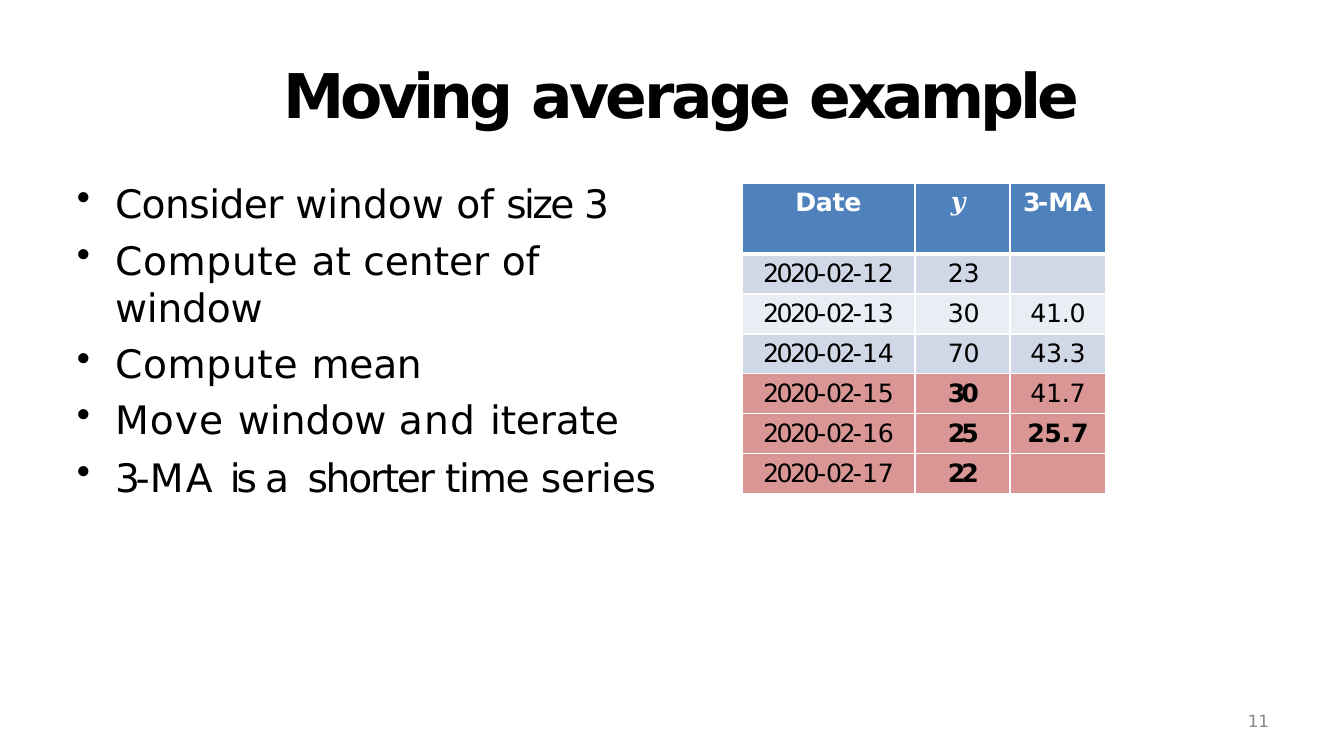
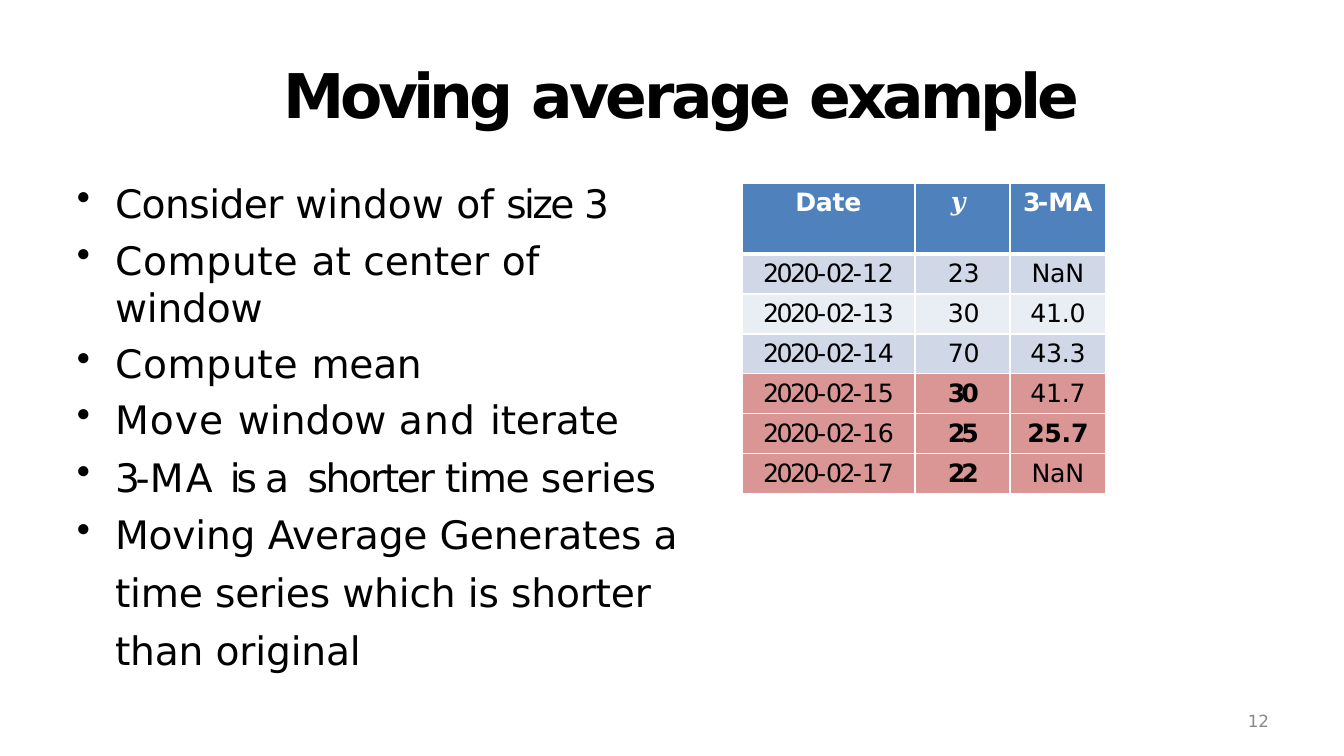
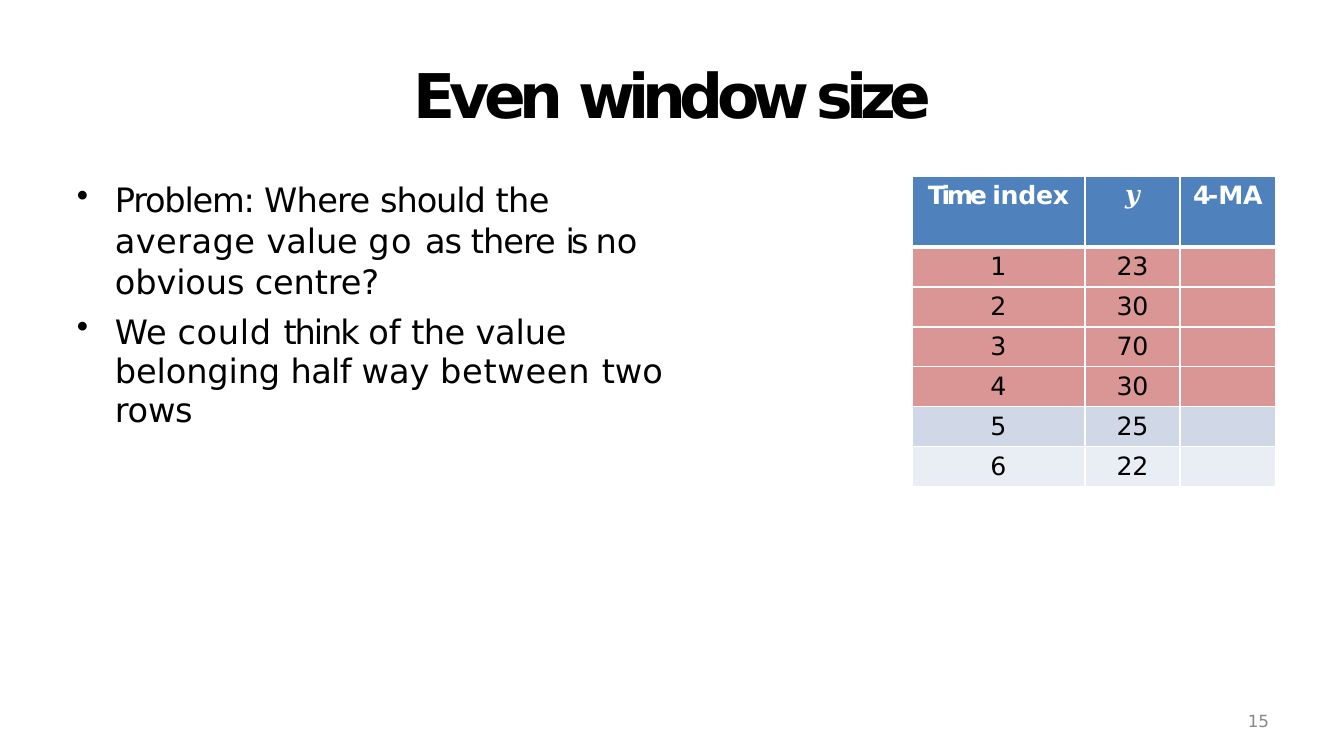
from lxml import etree
from pptx import Presentation
from pptx import util as u
from pptx.dml.color import RGBColor
from pptx.enum import text
from pptx.oxml.ns import qn

PX = 12192000 / 1344
INK, WHITE, GREY = "000000", "FFFFFF", "898989"
HEAD, BAND, PALE, MARK = "4F81BD", "D0D8E8", "E9EDF4", "D99694"


def px(n):
    return u.Emu(round(n * PX))


def rgb(value):
    return RGBColor.from_string(value)


class Deck:
    font = "DejaVu Sans"
    column_widths = (173, 95, 96)
    head_height, row_height = 71, 40

    def __init__(self):
        self.prs = Presentation()
        self.prs.slide_width, self.prs.slide_height = px(1344), px(756)

    def slide(self, title, indent, number):
        self.s = self.prs.slides.add_slide(self.prs.slide_layouts[5])
        sp = self.s.shapes.title
        sp.left, sp.top, sp.width, sp.height = map(px, (78, 56, 1188, 70))
        tf = self.frame(sp, 1)
        self.paragraph(tf.paragraphs[0], title, 44, bold=True, indent=indent)
        tf = self.box(1244, 710, 28, 23, 1)
        self.paragraph(tf.paragraphs[0], [(number, -0.2)], 12, GREY, indent=4)

    def frame(self, sp, top):
        tf = sp.text_frame
        fmt = dict(margin_left=0, margin_right=0, margin_bottom=0, margin_top=px(top),
                   word_wrap=True, auto_size=text.MSO_AUTO_SIZE.NONE,
                   vertical_anchor=text.MSO_ANCHOR.TOP)
        for name, value in fmt.items():
            setattr(tf, name, value)
        return tf

    def box(self, x, y, w, h, top):
        return self.frame(self.s.shapes.add_textbox(*map(px, (x, y, w, h))), top)

    def paragraph(self, p, runs, size, colour=INK, bold=False, indent=0, hang=0,
                  align=text.PP_ALIGN.LEFT, before=0, spacing=None):
        pPr = p._p.get_or_add_pPr()
        pPr.set("marL", str(px(indent)))
        pPr.set("indent", str(px(-hang)))
        if hang:
            etree.SubElement(pPr, qn("a:buChar")).set("char", "•")
        fmt = dict(alignment=align, space_before=u.Pt(before), line_spacing=spacing)
        for name, value in fmt.items():
            setattr(p, name, value)
        for words, tracking, *own in runs:
            r = p.add_run()
            r.text = words
            fmt = dict(name=self.font, size=u.Pt(size), bold=bold)
            fmt.update(own[0] if own else {})
            for name, value in fmt.items():
                setattr(r.font, name, value)
            r.font.color.rgb = rgb(colour)
            r._r.get_or_add_rPr().set("spc", str(round(tracking * 100)))

    def bullets(self, items, area, top, size):
        tf = self.box(*area, top)
        for i, (runs, fmt) in enumerate(items):
            p = tf.add_paragraph() if i else tf.paragraphs[0]
            self.paragraph(p, runs, size, **{"indent": 39, "hang": 38, **fmt})

    def borders(self, cell, row):
        tcPr = cell._tc.get_or_add_tcPr()
        heavy = {0: "lnB", 1: "lnT"}.get(row)
        for side in ("lnL", "lnR", "lnT", "lnB"):
            ln = etree.SubElement(tcPr, qn("a:" + side))
            ln.set("w", str(u.Pt(3 if side == heavy else 1)))
            fill = etree.SubElement(ln, qn("a:solidFill"))
            etree.SubElement(fill, qn("a:srgbClr")).set("val", WHITE)

    def table(self, x, y, rows, marked, y_indents=None):
        height = self.head_height + self.row_height * (len(rows) - 1)
        area = map(px, (x, y, sum(self.column_widths), height))
        table = self.s.shapes.add_table(len(rows), len(self.column_widths), *area).table
        table.horz_banding = False
        for column, width in zip(table.columns, self.column_widths):
            column.width = px(width)
        for i, row in enumerate(rows):
            head = i == 0
            table.rows[i].height = px(self.head_height if head else self.row_height)
            fill = HEAD if head else MARK if i in marked else BAND if i % 2 else PALE
            for j, runs in enumerate(row):
                cell = table.cell(i, j)
                self.borders(cell, i)
                cell.fill.solid()
                cell.fill.fore_color.rgb = rgb(fill)
                cell.margin_left = cell.margin_right = cell.margin_bottom = 0
                cell.margin_top = px(5)
                place = dict(align=text.PP_ALIGN.CENTER)
                if j == 1 and y_indents:
                    place = dict(indent=y_indents[0 if head else 1])
                self.paragraph(cell.text_frame.paragraphs[0], runs, 18,
                               WHITE if head else INK, head, **place)


BOLD = {"bold": True}
Y_HEAD = [("𝒚", -0.5, {"name": "Cambria", "bold": False})]
VALUES = ("23", "30", "70", "30", "25", "22")
MEANS = ("41.0", "43.3", "41.7", "25.7")
WINDOW = (4, 5, 6)

STEPS = [
    ([("Consider ", -0.4), ("window of ", 0), ("size ", -1.9), ("3", -0.5)], {}),
    ([("Compute ", 0.5), ("at center of ", 0), ("window", -0.1)], {"before": 7.2}),
    ([("Compute ", 0.5), ("mean", -0.2)], {"before": 6.5}),
    ([("Move ", 0.8), ("window ", 0), ("and ", 0.9), ("iterate", -0.1)], {"before": 6.5}),
    ([("3-", -3), ("MA ", 1.7), ("is ", -3), ("a ", 2.1), ("shorter ", -1.6),
      ("time ", -0.9), ("series", -0.1)], {"before": 7.5}),
]
SHORTER = [
    ([("Moving Average Generates a", -0.1)], {"before": 7.5}),
    ([("time series which is shorter", -0.1)], {"before": 7.5, "hang": 0}),
    ([("than original", -0.1)], {"before": 7.5, "hang": 0}),
]
PROBLEM = [
    ([("Problem: ", -0.9), ("Where ", -0.5), ("should ", -0.8), ("the ", -0.4),
      ("average ", 0.3), ("value ", -0.1), ("go ", 1), ("as there ", -0.7),
      ("is ", -2.6), ("no ", 0), ("obvious centre?", -0.1)], {"spacing": 1.01}),
    ([("We ", 0), ("could ", 0.5), ("think ", -1.5), ("of ", 0), ("the ", -0.4),
      ("value belonging ", -0.1), ("half ", -0.5), ("way ", 0), ("between ", 0.5),
      ("two ", 0), ("rows", -0.2)], {"before": 7.5, "spacing": u.Pt(28.1)}),
]


def heading(first, size):
    return [first, Y_HEAD, [(f"{size}-", -2), ("MA", -0.2)]]


def dated_rows(edge):
    rows = [heading([("Date", -0.2)], 3)]
    for i, (value, mean) in enumerate(zip(VALUES, (edge, *MEANS, edge)), 1):
        date = [("2020-", -1.8), ("02-", -1.9), (str(11 + i), -0.2)]
        y = (value, -3, BOLD) if i in WINDOW else (value, -0.2)
        average = (mean, -0.2, {"bold": i == WINDOW[1]})
        rows.append([date, [y], [average] if mean else []])
    return rows


def indexed_rows():
    rows = [heading([("Time ", -2.4), ("index", -0.2)], 4)]
    for i, value in enumerate(VALUES, 1):
        rows.append([[(str(i), -0.5)], [(value, -0.2)], []])
    return rows


def main():
    deck = Deck()
    example = [("Moving", -3.4), (" average ", -2.5), ("example", -3)]
    for number, steps, height, edge in (("11", STEPS, 286, ""),
                                        ("12", STEPS + SHORTER, 460, "NaN")):
        deck.slide(example, 206, number)
        deck.bullets(steps, (76, 168, 615, height), 11, 28)
        deck.table(742, 183, dated_rows(edge), WINDOW, (36, 33))
    deck.slide([("Even ", -4.4), ("window size", -5)], 336, "15")
    deck.table(912, 176, indexed_rows(), range(1, 5))
    deck.bullets(PROBLEM, (76, 178, 604, 343), 1, 24)
    deck.prs.save("out.pptx")


if __name__ == "__main__":
    main()
